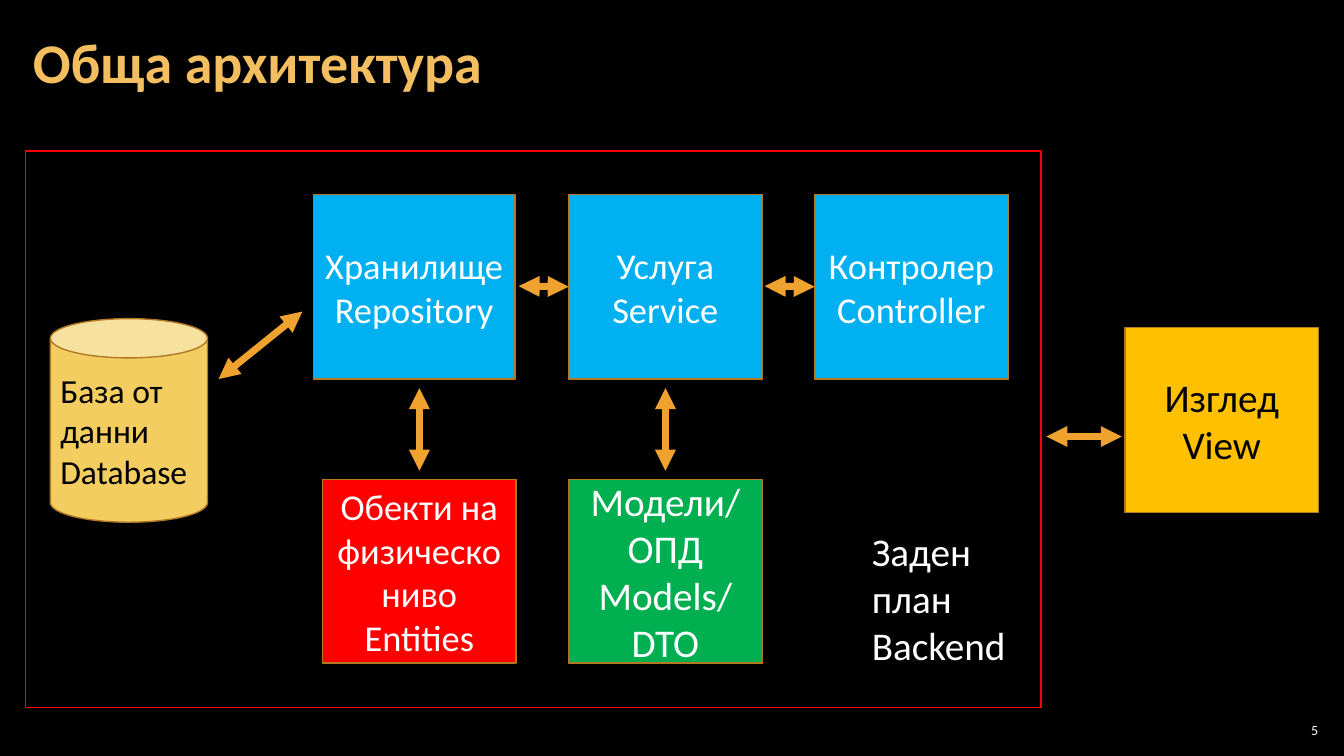
import dataclasses

import pptx
import pptx.dml.color
import pptx.enum.shapes
import pptx.enum.text
import pptx.oxml
import pptx.oxml.ns
import pptx.util

Cm = pptx.util.Cm
Pt = pptx.util.Pt
SHAPE = pptx.enum.shapes.MSO_SHAPE
ALIGN = pptx.enum.text.PP_ALIGN
ANCHOR = pptx.enum.text.MSO_ANCHOR
LEFT_SIDE = 1


@dataclasses.dataclass(frozen=True)
class Theme:
    font: str = "Calibri"
    background: str = "000000"
    title: str = "F3BE60"
    light: str = "FFFFFF"
    dark: str = "000000"
    outline: str = "B27822"
    arrow: str = "F0A22E"
    frame: str = "FF0000"
    database: str = "F3CD60"
    layer: str = "00B0F0"
    entities: str = "FF0000"
    models: str = "00B050"
    view: str = "FFC000"
    title_size: int = 40
    large_size: int = 28
    layer_size: int = 26
    database_size: int = 24
    number_size: int = 10
    outline_width: int = 1
    arrow_width: int = 5


def color(value):
    return pptx.dml.color.RGBColor.from_string(value)


def set_values(target, values):
    for name, value in values.items():
        setattr(target, name, value)


class ArchitectureSlide:
    """Holds the theme and the slide being drawn."""

    def __init__(self, presentation, theme):
        self.theme = theme
        self.slide = presentation.slides.add_slide(presentation.slide_layouts[5])
        fill = self.slide.background.fill
        fill.solid()
        fill.fore_color.rgb = color(theme.background)

    def add_lines(self, shape, lines, size, text_color, align=ALIGN.LEFT,
                  bold=False, spacing=1.0, **frame_values):
        frame = shape.text_frame
        set_values(frame, {"word_wrap": True, **frame_values})
        for index, line in enumerate(lines):
            paragraph = frame.add_paragraph() if index else frame.paragraphs[0]
            paragraph.text = line
            set_values(paragraph, {"alignment": align, "line_spacing": spacing})
            for run in paragraph.runs:
                set_values(run.font, {"name": self.theme.font, "size": Pt(size), "bold": bold})
                run.font.color.rgb = color(text_color)

    def title(self, text, left, top, width, height):
        shape = self.slide.shapes.title
        set_values(shape, {"left": Cm(left), "top": Cm(top),
                           "width": Cm(width), "height": Cm(height)})
        self.add_lines(shape, [text], self.theme.title_size, self.theme.title,
                       bold=True, spacing=0.9, vertical_anchor=ANCHOR.MIDDLE,
                       auto_size=pptx.enum.text.MSO_AUTO_SIZE.NONE,
                       margin_left=Cm(0.3), margin_right=Cm(0.3),
                       margin_top=Cm(0.1), margin_bottom=Cm(0.1))

    def shape(self, kind, left, top, width, height, line, fill=None):
        shape = self.slide.shapes.add_shape(kind, Cm(left), Cm(top), Cm(width), Cm(height))
        shape.shadow.inherit = False
        if fill:
            shape.fill.solid()
            shape.fill.fore_color.rgb = color(fill)
        else:
            shape.fill.background()
        shape.line.color.rgb = color(line)
        shape.line.width = Pt(self.theme.outline_width)
        return shape

    def box(self, lines, left, top, width, height, fill, size, text_color,
            kind=SHAPE.RECTANGLE, align=ALIGN.CENTER):
        shape = self.shape(kind, left, top, width, height, self.theme.outline, fill)
        self.add_lines(shape, lines, size, text_color, align, vertical_anchor=ANCHOR.MIDDLE)
        return shape

    def label(self, lines, left, top, width, height, size, **values):
        shape = self.slide.shapes.add_textbox(Cm(left), Cm(top), Cm(width), Cm(height))
        self.add_lines(shape, lines, size, self.theme.light, **values)

    def arrow(self, start, end, target=None):
        connector = self.slide.shapes.add_connector(
            pptx.enum.shapes.MSO_CONNECTOR.STRAIGHT, *map(Cm, start + end))
        if target is not None:
            connector.end_connect(target, LEFT_SIDE)
        connector.line.color.rgb = color(self.theme.arrow)
        connector.line.width = Pt(self.theme.arrow_width)
        line = connector.line._get_or_add_ln()
        for name in ("a:headEnd", "a:tailEnd"):
            line.append(pptx.oxml.parse_xml(
                f'<{name} {pptx.oxml.ns.nsdecls("a")} type="triangle"/>'))
        connector._element.spPr.append(pptx.oxml.parse_xml(
            f'<a:effectLst {pptx.oxml.ns.nsdecls("a")}/>'))


def main():
    presentation = pptx.Presentation()
    set_values(presentation, {"slide_width": Cm(33.87), "slide_height": Cm(19.05)})
    theme = Theme()
    page = ArchitectureSlide(presentation, theme)

    # Grid of boxes
    box_width, box_height, lower_height = 4.88, 4.65, 4.62
    columns = [8.13 + 6.2 * index for index in range(3)]
    upper, lower = 4.9, 12.09

    # Backend frame and title
    page.shape(SHAPE.RECTANGLE, 0.64, 3.81, 25.6, 14.02, theme.frame)
    page.title("Обща архитектура", 0.53, 0.1, 32.79, 3.07)

    # Database
    page.box(["База от данни", "Database"], 1.27, 8.03, 3.96, 5.13, theme.database,
             theme.database_size, theme.dark, SHAPE.CAN, ALIGN.LEFT)

    # Layers; the repository is slightly wider
    layers = [
        (["Хранилище", "Repository"], 7.9, 5.08),
        (["Услуга", "Service"], columns[1], box_width),
        (["Контролер", "Controller"], columns[2], box_width),
    ]
    layer_boxes = [
        page.box(lines, left, upper, width, box_height,
                 theme.layer, theme.layer_size, theme.light)
        for lines, left, width in layers]

    # Data objects and view
    page.box(["Обекти на физическо ниво", "Entities"], columns[0], lower, box_width,
             lower_height, theme.entities, theme.layer_size, theme.light)
    page.box(["Модели/", "ОПД", "Models/\vDTO"], columns[1], lower, box_width,
             lower_height, theme.models, theme.large_size, theme.light)
    page.box(["Изглед", "View"], 28.35, 8.26, box_width, box_height,
             theme.view, theme.large_size, theme.dark)

    # Arrows
    page.arrow((5.51, 9.55), (7.62, 7.85))
    for left in columns[:2]:
        center = left + box_width / 2
        page.arrow((center, 11.86), (center, 9.78))
    for left, target in zip(columns[1:], layer_boxes[1:]):
        page.arrow((left - 1.26, 7.21), (left, 7.23), target)
    page.arrow((26.37, 11), (28.27, 11))

    # Backend label and slide number
    page.label(["Заден план", "Backend"], 21.72, 13.16, 3.91, 3.84, theme.large_size)
    page.label(["5"], 32.13, 18.14, 1.19, 0.53, theme.number_size, align=ALIGN.RIGHT,
               vertical_anchor=ANCHOR.MIDDLE, margin_left=Cm(0.1), margin_right=Cm(0.1),
               margin_top=Cm(0.1), margin_bottom=Cm(0.1))

    presentation.save("out.pptx")


if __name__ == "__main__":
    main()
